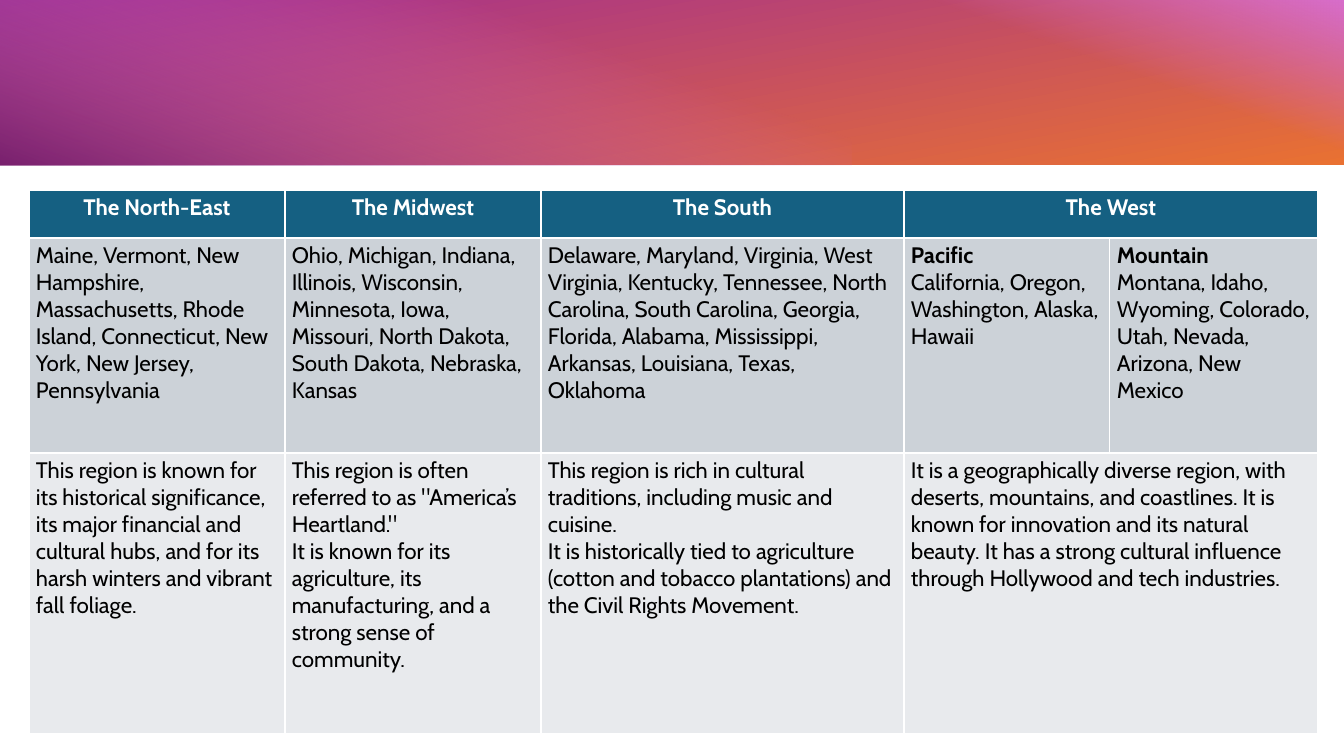
"""Build a slide comparing the regions of the United States in a table."""
from pptx import Presentation
from pptx import util as u
from pptx.dml.color import RGBColor
from pptx.enum import shapes, text
from pptx.oxml.ns import qn
from lxml import etree

PX = 914400 / 100.8
THEME = {
    "font": "Cabin", "size": u.Pt(16),
    "purple": "A02B93", "orange": "E97132", "pink": "D86ECC", "plum": "78206E",
    "header": ("156082", "FFFFFF"), "states": ("CCD2D8", "000000"),
    "traits": ("E8EAED", "000000"),
}


def px(length):
    return u.Emu(round(length * PX))


def add_band(page, left, width, angle, start, end, fade_from=None):
    band = page.shapes.add_shape(shapes.MSO_SHAPE.RECTANGLE, px(left), 0, px(width), px(165))
    band.shadow.inherit = False
    band.line.fill.background()
    band.fill.gradient()
    band.fill.gradient_angle = angle
    first, last = band.fill.gradient_stops
    first.color.rgb = RGBColor.from_string(start)
    last.color.rgb = RGBColor.from_string(end)
    first.position, last.position = fade_from or 0, 1
    if fade_from is not None:
        color = next(band.element.iter(qn("a:srgbClr")))
        etree.SubElement(color, qn("a:alpha"), val="0")


deck = Presentation()
deck.slide_width, deck.slide_height = px(1344), px(756)
page = deck.slides.add_slide(deck.slide_layouts[6])

add_band(page, 0, 1344, 280, THEME["purple"], THEME["orange"])
add_band(page, 786, 558, 70, THEME["pink"], THEME["pink"], 0.59)
add_band(page, 0, 851, 250, THEME["pink"], THEME["plum"], 0.29)

columns = [256, 256, 363, 206, 208]
rows = [("header", 48), ("states", 215), ("traits", 281)]
regions = [
    [["The North-East"], ["The Midwest"], ["The South"], ["The West"]],
    [
        ["Maine, Vermont, New Hampshire, Massachusetts, Rhode Island, Connecticut, "
         "New York, New Jersey, Pennsylvania"],
        ["Ohio, Michigan, Indiana, Illinois, Wisconsin, Minnesota, Iowa, Missouri, "
         "North Dakota, South Dakota, Nebraska, Kansas"],
        ["Delaware, Maryland, Virginia, West Virginia, Kentucky, Tennessee, North Carolina, "
         "South Carolina, Georgia, Florida, Alabama, Mississippi, Arkansas, Louisiana, "
         "Texas, Oklahoma"],
        ["Pacific", "California, Oregon, Washington, Alaska, Hawaii"],
        ["Mountain", "Montana, Idaho, Wyoming, Colorado, Utah, Nevada, Arizona, New Mexico"],
    ],
    [
        ["This region is known for its historical significance, its major financial and "
         "cultural hubs, and for its harsh winters and vibrant fall foliage."],
        ["This region is often referred to as \"America’s Heartland.\"",
         "It is known for its agriculture, its manufacturing, and a strong sense of community."],
        ["This region is rich in cultural traditions, including music and cuisine.",
         "It is historically tied to agriculture (cotton and tobacco plantations) and the "
         "Civil Rights Movement."],
        ["It is a geographically diverse region, with deserts, mountains, and coastlines. "
         "It is known for innovation and its natural beauty. It has a strong cultural "
         "influence through Hollywood and tech industries."],
    ],
]

table = page.shapes.add_table(
    len(rows), len(columns), px(29), px(190),
    px(sum(columns)), px(sum(height for _, height in rows))).table
for column, width in zip(table.columns, columns):
    column.width = px(width)
for row, (kind, height) in enumerate(rows):
    table.rows[row].height = px(height)
    fill, ink = THEME[kind]
    if kind != "states":
        table.cell(row, 3).merge(table.cell(row, 4))
    for column, lines in enumerate(regions[row]):
        cell = table.cell(row, column)
        cell.fill.solid()
        cell.fill.fore_color.rgb = RGBColor.from_string(fill)
        cell.margin_left = cell.margin_right = px(7)
        cell.margin_top = cell.margin_bottom = px(4)
        cell.text = "\n".join(lines)
        for para in cell.text_frame.paragraphs:
            if kind == "header":
                para.alignment = text.PP_ALIGN.CENTER
            para.font.name = THEME["font"]
            para.font.size = THEME["size"]
            para.font.bold = kind == "header" or para.text in ("Pacific", "Mountain")
            para.font.color.rgb = RGBColor.from_string(ink)

deck.save("out.pptx")
